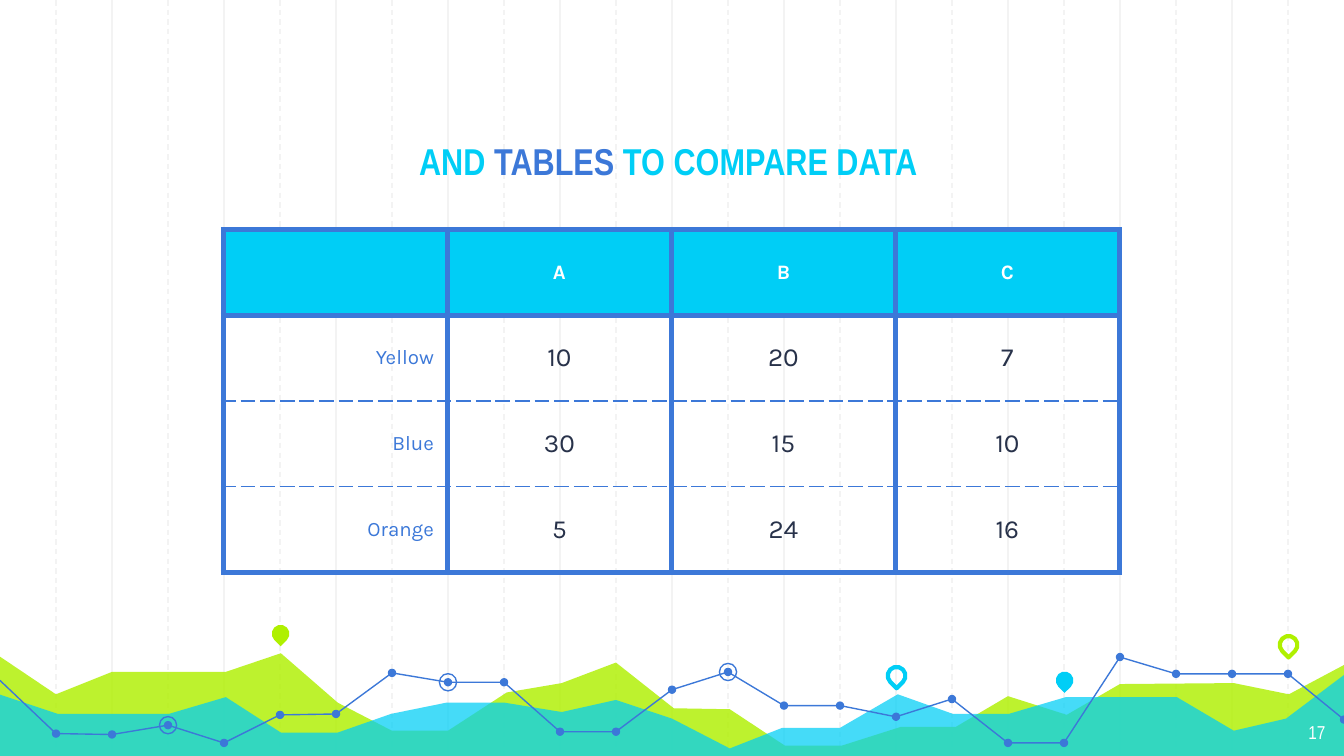
import pptx
import pptx.util
import pptx.dml.color
import pptx.enum.dml
import pptx.enum.shapes
import pptx.enum.text
import pptx.oxml
import pptx.oxml.ns
from lxml import etree

Pt = pptx.util.Pt
Shape = pptx.enum.shapes.MSO_SHAPE
Align = pptx.enum.text.PP_ALIGN
Anchor = pptx.enum.text.MSO_ANCHOR
DASH = pptx.enum.dml.MSO_LINE.DASH

CYAN, LIME, BLUE = "00CEF6", "AFF000", "3C78D8"
GREY, NAVY, WHITE = "F3F3F3", "28324A", "FFFFFF"
HEADING_FONT, BODY_FONT = "Arial Narrow", "Karla"
STEP = 30  # spacing of the vertical guides


def colour(value):
    return pptx.dml.color.RGBColor.from_string(value)


def add_span(para, text, font=BODY_FONT, size=11, color=NAVY, bold=False):
    span = para.add_run()
    span.text = text
    span.font.name = font
    span.font.size = Pt(size)
    span.font.bold = bold
    span.font.color.rgb = colour(color)


def add_child(parent, tag, **attributes):
    return etree.SubElement(parent, pptx.oxml.ns.qn(tag), attributes)


class Painter:
    def __init__(self, page):
        self.page = page
        self.shapes = page.shapes

    def style(self, shape, fill=None, line=None, width=0.75, opacity=None):
        shape.shadow.inherit = False
        if fill:
            shape.fill.solid()
            shape.fill.fore_color.rgb = colour(fill)
            if opacity:
                solid = shape.fill._xPr.find(pptx.oxml.ns.qn("a:solidFill"))
                add_child(solid[0], "a:alpha", val=str(opacity * 1000))
        else:
            shape.fill.background()
        if line:
            shape.line.color.rgb = colour(line)
            shape.line.width = Pt(width)
        else:
            shape.line.fill.background()

    def guide(self, x, dash=None):
        line = self.shapes.add_connector(
            pptx.enum.shapes.MSO_CONNECTOR.STRAIGHT, Pt(x), 0, Pt(x), Pt(407))
        line.line.color.rgb = colour(GREY)
        line.line.width = Pt(0.75)
        line.line.dash_style = dash
        add_child(line._element.spPr, "a:effectLst")

    def outline(self, points, close=True, **style):
        corners = [(Pt(x), Pt(y)) for x, y in points]
        builder = self.shapes.build_freeform(*corners[0])
        builder.add_line_segments(corners[1:], close=close)
        self.style(builder.convert_to_shape(), **style)

    def marker(self, kind, x, y, size, turn=0, **style):
        """Draw a small preset shape centred on x, y."""
        shape = self.shapes.add_shape(
            kind, Pt(x - size / 2), Pt(y - size / 2), Pt(size), Pt(size))
        shape.rotation = turn
        self.style(shape, **style)

    def text(self, left, top, width, height, spans, align, anchor, **style):
        box = self.shapes.add_textbox(Pt(left), Pt(top), Pt(width), Pt(height))
        frame = box.text_frame
        frame.word_wrap = True
        frame.vertical_anchor = anchor
        frame.margin_left = frame.margin_right = Pt(7.2)
        frame.margin_top = frame.margin_bottom = Pt(7.2)
        para = frame.paragraphs[0]
        para.alignment = align
        for words, color in spans:
            add_span(para, words, color=color, font=HEADING_FONT, **style)

    def border(self, cell, side, width, dash):
        edge = add_child(cell._tc.get_or_add_tcPr(), "a:ln" + side,
                         w=str(Pt(width)), cap="flat", cmpd="sng")
        add_child(add_child(edge, "a:solidFill"), "a:srgbClr", val=BLUE)
        add_child(edge, "a:prstDash", val=dash)

    def cell(self, cell, text, row, column, last_row):
        header = row == 0
        cell.vertical_anchor = Anchor.MIDDLE
        cell.margin_left = cell.margin_right = Pt(7.2)
        cell.margin_top = cell.margin_bottom = Pt(5)
        thick, thin = (3, "solid"), (0.75, "dash")
        self.border(cell, "L", *thick)
        self.border(cell, "R", *thick)
        self.border(cell, "T", *(thin if row > 1 else thick))
        self.border(cell, "B", *(thin if 0 < row < last_row else thick))
        if header:
            cell.fill.solid()
            cell.fill.fore_color.rgb = colour(CYAN)
        else:
            cell.fill.background()
        para = cell.text_frame.paragraphs[0]
        para.alignment = Align.CENTER if header or column else Align.RIGHT
        if header:
            add_span(para, text, color=WHITE, bold=True)
        elif column:
            add_span(para, text, size=14)
        else:
            add_span(para, text, color=BLUE)

    def table(self, left, top, column_width, row_height, rows):
        count = len(rows[0])
        table = self.shapes.add_table(
            len(rows), count, Pt(left), Pt(top),
            Pt(column_width * count), Pt(row_height * len(rows))).table
        table.first_row = table.horz_banding = False
        for column in table.columns:
            column.width = Pt(column_width)
        for r, values in enumerate(rows):
            table.rows[r].height = Pt(row_height)
            for c, value in enumerate(values):
                self.cell(table.cell(r, c), value, r, c, len(rows) - 1)


LIME_AREA = [
    (-2, 350.5), (30, 372), (60, 360), (121, 360), (150.5, 350), (181, 376.5),
    (210, 391.5), (240, 391.5), (271.5, 371), (301, 366), (330, 355),
    (361, 379.5), (391, 380), (420.5, 399.5), (451, 399.5), (482.5, 389.5),
    (512, 389.5), (540, 373), (571.5, 383), (600, 366.5), (661, 366),
    (690.5, 372), (721.5, 355.5), (721, 406), (-2, 406)]
CYAN_AREA = [
    (-2, 371.5), (31, 382.5), (90.5, 382.5), (121, 373.5), (150.5, 392.5),
    (181, 392.5), (209.5, 382.5), (239, 376.5), (270.5, 376.5), (301, 381.5),
    (330, 375), (360, 385), (391, 401), (419, 390), (450, 390), (481, 372),
    (510.5, 382.5), (540.5, 382.5), (571, 373.5), (630.5, 373.5),
    (661, 391.5), (689, 385), (721.5, 360.5), (721.5, 407), (-2, 407)]
# One height for each guide, from the left edge to the right edge
TREND = [364.5, 393, 393.5, 388.5, 398, 383, 382.5, 360.5, 365.5, 365.5, 392,
         392, 369.5, 360, 378, 378, 384, 374.5, 398, 398, 352, 361, 361, 361,
         385.5]
RINGED = (3, 8, 13)
PINS = [(5, 339.5, {"fill": LIME}),
        (16, 362, {"line": CYAN, "width": 2.25}),
        (19, 364.5, {"fill": CYAN}),
        (23, 345.5, {"line": LIME, "width": 2.25})]
ROWS = [["", "A", "B", "C"],
        ["Yellow", "10", "20", "7"],
        ["Blue", "30", "15", "10"],
        ["Orange", "5", "24", "16"]]


def main():
    deck = pptx.Presentation()
    deck.slide_width, deck.slide_height = Pt(720), Pt(405)
    painter = Painter(deck.slides.add_slide(deck.slide_layouts[6]))

    # Vertical guides: every other one dashed
    for i in range(1, 24):
        painter.guide(i * STEP, DASH if i % 2 else None)

    # Landscape of two areas with pins
    painter.outline(LIME_AREA, fill=LIME, opacity=82)
    painter.outline(CYAN_AREA, fill=CYAN, opacity=73)
    for i, y, style in PINS:
        painter.marker(Shape.TEAR, i * STEP + 0.3, y, 9.5, turn=135, **style)

    # Trend line with dots and rings
    trend = [(i * STEP, y) for i, y in enumerate(TREND)]
    painter.outline(trend, close=False, line=BLUE)
    for x, y in trend[1:]:
        painter.marker(Shape.OVAL, x, y, 4.5, fill=BLUE)
    for i in RINGED:
        painter.marker(Shape.OVAL, *trend[i], 9.2, line=BLUE)

    # Title, table and page number
    painter.text(82.5, 49.5, 551, 56,
                 [("AND ", CYAN), ("TABLES", BLUE), (" TO COMPARE DATA", CYAN)],
                 Align.CENTER, Anchor.BOTTOM, size=20, bold=True)
    painter.table(119.7, 123, 120, 45.9, ROWS)
    painter.text(674, 380, 43, 25, [("17", WHITE)],
                 Align.RIGHT, Anchor.TOP, size=10)

    deck.save("out.pptx")


if __name__ == "__main__":
    main()
